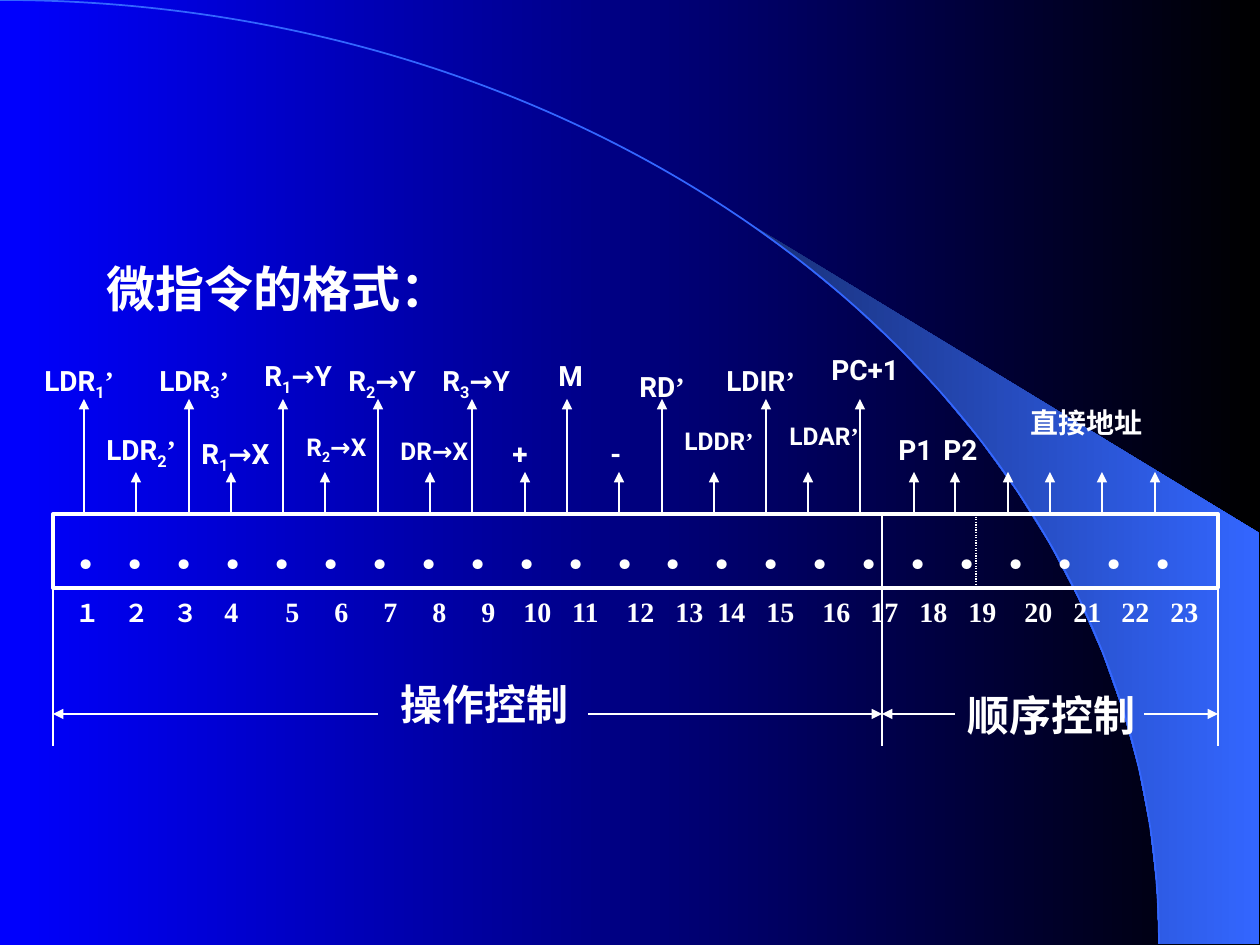
from dataclasses import dataclass
from math import asin, cos, pi, sin

from lxml.etree import SubElement
from pptx import Presentation
from pptx.dml.color import RGBColor
from pptx.enum.dml import MSO_LINE
from pptx.enum.shapes import MSO_CONNECTOR, MSO_SHAPE
from pptx.enum.text import MSO_ANCHOR, MSO_AUTO_SIZE, PP_ALIGN
from pptx.oxml.ns import qn
from pptx.util import Pt

SCALE = 914400 / 126
WIDTH, HEIGHT = 1260, 945


@dataclass(frozen=True)
class Theme:
    """Colours, fonts and type sizes of the slide."""
    white: str = "FFFFFF"
    blue: str = "0000FF"
    black: str = "000000"
    navy: str = "182F76"
    sky: str = "3366FF"
    sans: str = "Roboto"
    serif: str = "Times New Roman"
    title: int = 28
    section: int = 24
    label: int = 16
    small: int = 14
    hairline: float = 0.75


THEME = Theme()
LEFT, SPLIT, RIGHT = 53, 882, 1218
TOP, BOTTOM, FOOT, SPAN_Y = 514, 588, 746, 714
ARC_W, ARC_H, WEDGE_X = 1159, 944, 742
ARC_CURVE = ((0, 0), (640, 0), (ARC_W, 422), (ARC_W, ARC_H))
HIGH_TIP, LOW_TIP = 399, 472
HIGH_ARROWS = (84, 189, 283, 378, 472, 567, 662, 766, 860)
LOW_ARROWS = (136, 231, 325, 430, 525, 619, 714, 808, 914, 955, 1008, 1050, 1102, 1155)
LABELS = (
    ("LDR_1’", 32, 357), ("LDR_2’", 94, 426), ("LDR_3’", 147, 357),
    ("R_1→Y", 252, 352), ("R_2→Y", 336, 357), ("R_1→X", 189, 430),
    ("R_3→Y", 430, 357), ("+", 500, 430), ("M", 546, 352), ("-", 598, 430),
    ("RD’", 627, 363), ("LDIR’", 714, 357), ("PC+1", 819, 346),
    ("P1", 886, 426), ("P2", 931, 426), ("直接地址", 1018, 399),
)
SMALL_LABELS = (("R_2→X", 294, 426), ("DR→X", 388, 430), ("LDDR’", 672, 420), ("LDAR’", 777, 415))
BIT_CENTRES = (87, 136, 185, 231, 292, 341, 390, 439, 488, 537, 585, 640,
               689, 731, 780, 836, 884, 933, 982, 1038, 1087, 1135, 1184)
WIDE_DIGITS = "１２３"


def px(n):
    """Turn pixels into EMU."""
    return round(n * SCALE)


def rgb(code):
    """Turn a hex code into a colour."""
    return RGBColor.from_string(code)


def add_run(p, text, size=THEME.label, font=THEME.sans, baseline=0):
    """Append one bold white run to a paragraph."""
    r = p.add_run()
    r.text = text
    r.font.size, r.font.bold, r.font.name = Pt(size), True, font
    r.font.color.rgb = rgb(THEME.white)
    rPr = r.font._element
    SubElement(rPr, qn("a:ea")).set("typeface", THEME.sans)
    if baseline:
        rPr.set("baseline", str(baseline * 1000))


def format_frame(tf, anchor=MSO_ANCHOR.TOP, wrap=True):
    """Set wrapping and anchoring of a text frame and return its paragraph."""
    tf.word_wrap, tf.vertical_anchor = wrap, anchor
    tf.auto_size = MSO_AUTO_SIZE.NONE
    return tf.paragraphs[0]


def add_box(slide, x, y, w, h):
    """Add a text box and return its first paragraph."""
    return format_frame(slide.shapes.add_textbox(px(x), px(y), px(w), px(h)).text_frame)


def add_label(slide, text, x, y, w=116, h=47, size=THEME.label):
    """Add a label in which an underscore lowers the next character."""
    p = add_box(slide, x, y, w, h)
    head, _, tail = text.removesuffix("’").partition("_")
    prime = "’" if text.endswith("’") else ""
    parts = ((head, THEME.sans, 0), (tail[:1], THEME.sans, -25),
             (tail[1:], THEME.sans, 0), (prime, THEME.serif, 0))
    for part, font, baseline in parts:
        if part:
            add_run(p, part, size, font, baseline)


def add_line(slide, x1, y1, x2, y2, arrow=False, width=THEME.hairline, dash=None):
    """Add a straight white line, with an arrowhead at its end if asked."""
    sp = slide.shapes.add_connector(MSO_CONNECTOR.STRAIGHT, px(x1), px(y1), px(x2), px(y2))
    sp.line.color.rgb, sp.line.width = rgb(THEME.white), Pt(width)
    if dash:
        sp.line.dash_style = dash
    if arrow:
        SubElement(sp.line._get_or_add_ln(), qn("a:tailEnd")).set("type", "triangle")
    SubElement(sp._element.spPr, qn("a:effectLst"))


def set_gradient(fill, start, end):
    """Give a fill a left-to-right gradient."""
    fill.gradient()
    fill.gradient_angle = 0
    for stop, position, color in zip(fill.gradient_stops, (0, 1), (start, end)):
        stop.position, stop.color.rgb = position, rgb(color)


def wedge_points(steps=14):
    """Return the corners of the wedge, following the arc to its foot."""
    start = asin(WEDGE_X / ARC_W)
    angles = (start + (pi / 2 - start) * i / steps for i in range(steps + 1))
    edge = [(ARC_W * sin(a), ARC_H * (1 - cos(a))) for a in angles]
    return edge + [(1259, 944), (1259, 533)]


def add_outline(slide, points, close):
    """Add a freeform through the points."""
    first, *rest = [(px(x), px(y)) for x, y in points]
    builder = slide.shapes.build_freeform(*first, scale=1.0)
    builder.add_line_segments(rest, close=close)
    sp = builder.convert_to_shape()
    sp.shadow.inherit = False
    return sp


def add_curve(slide, points):
    """Add an open cubic curve from a start, two controls and an end."""
    sp = add_outline(slide, points, close=False)
    segments = list(sp._element.iter(qn("a:lnTo")))
    outline = segments[0].getparent()
    curve = SubElement(outline, qn("a:cubicBezTo"))
    for segment in segments:
        curve.append(segment[0])
        outline.remove(segment)
    return sp


def add_backdrop(slide):
    """Draw the gradient background, the wedge and the arc."""
    set_gradient(slide.background.fill, THEME.blue, THEME.black)
    wedge = add_outline(slide, wedge_points(), close=True)
    set_gradient(wedge.fill, THEME.navy, THEME.sky)
    wedge.line.fill.background()
    arc = add_curve(slide, ARC_CURVE)
    arc.fill.background()
    arc.line.color.rgb, arc.line.width = rgb(THEME.sky), Pt(1)


def add_title(slide, text):
    """Place and fill the title placeholder."""
    sp = slide.shapes.title
    sp.left, sp.top, sp.width, sp.height = px(94), px(252), px(441), px(72)
    p = format_frame(sp.text_frame)
    p.alignment = PP_ALIGN.LEFT
    add_run(p, text, THEME.title)


def add_register(slide):
    """Draw the instruction word with one dot per bit."""
    sp = slide.shapes.add_shape(MSO_SHAPE.RECTANGLE, px(LEFT), px(TOP), px(RIGHT - LEFT), px(BOTTOM - TOP))
    sp.shadow.inherit = False
    sp.fill.background()
    sp.line.color.rgb, sp.line.width = rgb(THEME.white), Pt(2.25)
    p = format_frame(sp.text_frame, MSO_ANCHOR.MIDDLE, wrap=False)
    p.alignment = PP_ALIGN.CENTER
    add_run(p, "．" * len(BIT_CENTRES), THEME.title, THEME.serif)


def add_bit_numbers(slide):
    """Number the bits on centred tab stops."""
    x, inset = 63, 12
    p = add_box(slide, x, BOTTOM, 1155, 47)
    tabs = SubElement(p._p.get_or_add_pPr(), qn("a:tabLst"))
    for centre in BIT_CENTRES:
        tab = SubElement(tabs, qn("a:tab"))
        tab.set("pos", str(px(centre - x - inset)))
        tab.set("algn", "ctr")
    wide = len(WIDE_DIGITS)
    add_run(p, "".join(f"\t{d}" for d in WIDE_DIGITS), THEME.small, THEME.serif)
    add_run(p, "".join(f"\t{n}" for n in range(wide + 1, len(BIT_CENTRES) + 1)), font=THEME.serif)


def add_fields(slide):
    """Mark the operation and sequence fields of the word."""
    add_line(slide, 976, TOP, 976, BOTTOM, dash=MSO_LINE.ROUND_DOT)
    add_line(slide, SPLIT, TOP, SPLIT, BOTTOM, width=1)
    for x in (LEFT, SPLIT, RIGHT):
        add_line(slide, x, BOTTOM, x, FOOT)
    for start, end in ((378, LEFT), (588, SPLIT), (955, SPLIT), (1144, RIGHT)):
        add_line(slide, start, SPAN_Y, end, SPAN_Y, arrow=True)
    add_label(slide, "操作控制", 388, 672, 284, 63, THEME.section)
    add_label(slide, "顺序控制", 955, 683, 210, 63, THEME.section)


def main():
    """Build the slide and save it."""
    prs = Presentation()
    prs.slide_width, prs.slide_height = px(WIDTH), px(HEIGHT)
    slide = prs.slides.add_slide(prs.slide_layouts[5])
    add_backdrop(slide)
    add_title(slide, "微指令的格式：")
    add_register(slide)
    add_bit_numbers(slide)
    for tip, arrows in ((HIGH_TIP, HIGH_ARROWS), (LOW_TIP, LOW_ARROWS)):
        for x in arrows:
            add_line(slide, x, TOP, x, tip, arrow=True)
    for size, labels in ((THEME.label, LABELS), (THEME.small, SMALL_LABELS)):
        for text, x, y in labels:
            add_label(slide, text, x, y, w=168 if text == "直接地址" else 116, size=size)
    add_fields(slide)
    prs.save("out.pptx")


if __name__ == "__main__":
    main()
